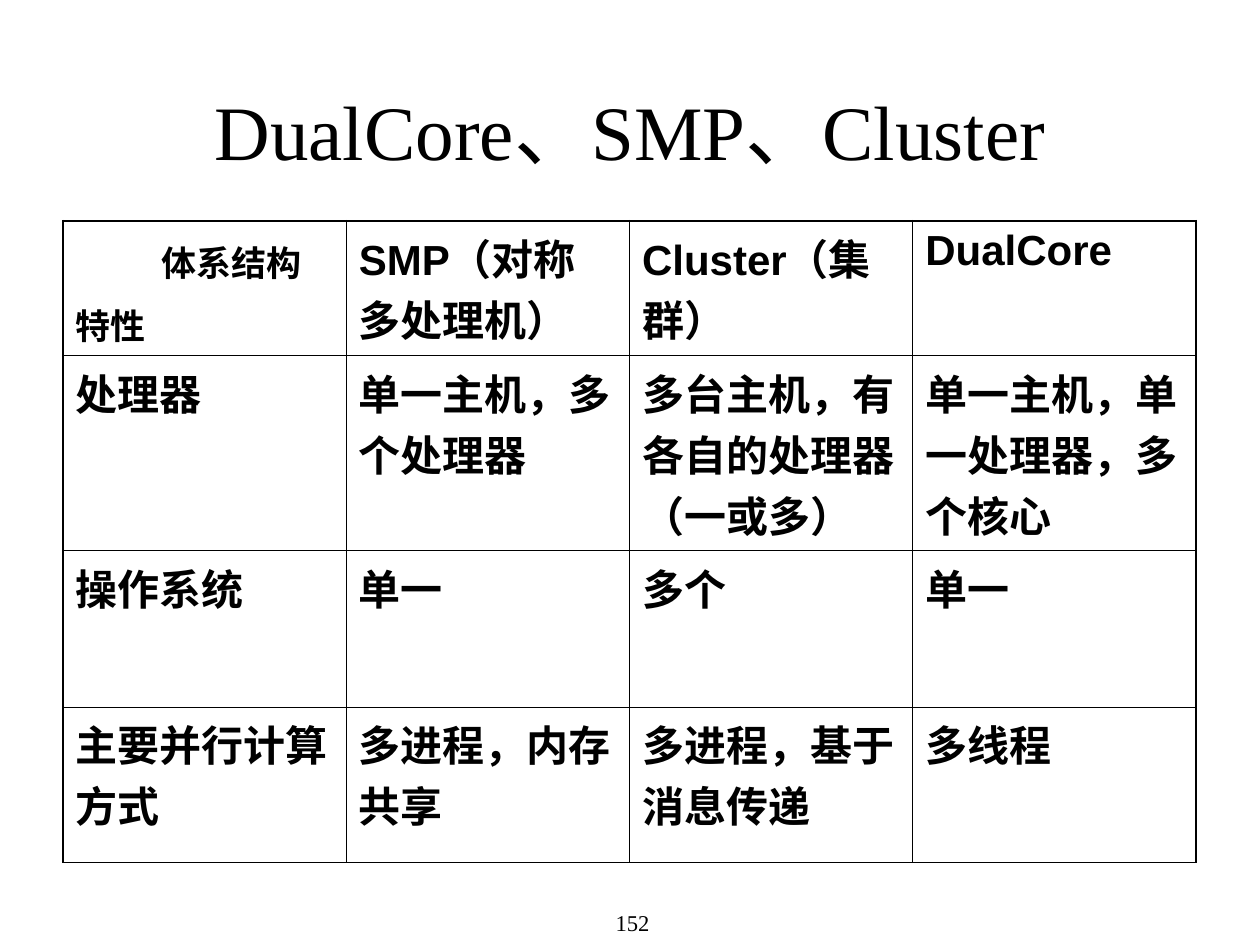
import pptx
import pptx.dml.color
import pptx.enum.text
import pptx.oxml.ns
import pptx.util
from lxml import etree
from pptx.util import Cm

BLACK = pptx.dml.color.RGBColor(0x00, 0x00, 0x00)
ALIGN = pptx.enum.text.PP_ALIGN
ANCHOR = pptx.enum.text.MSO_ANCHOR

OUTER_LINE = pptx.util.Pt(1.08)
INNER_LINE = pptx.util.Pt(0.45)
COLUMN_WIDTH = Cm(5.71)
ROW_HEIGHTS = [Cm(2.72), Cm(3.93), Cm(3.15), Cm(3.14)]

CORNER_LABELS = ["体系结构", "特性"]
ROWS = [
    ["", "SMP（对称多处理机）", "Cluster（集群）", "DualCore"],
    ["处理器", "单一主机，多个处理器", "多台主机，有各自的处理器（一或多）",
     "单一主机，单一处理器，多个核心"],
    ["操作系统", "单一", "多个", "单一"],
    ["主要并行计算方式", "多进程，内存共享", "多进程，基于消息传递", "多线程"],
]


def write_text(paragraph, text, size, font_name="Arial", bold=False,
               alignment=ALIGN.LEFT, space_before=None):
    paragraph.alignment = alignment
    if space_before is not None:
        paragraph.space_before = pptx.util.Pt(space_before)
    run = paragraph.add_run()
    run.text = text
    run.font.name = font_name
    run.font.size = pptx.util.Pt(size)
    run.font.bold = bold
    run.font.color.rgb = BLACK


def set_borders(cell, **widths):
    """Draw cell borders; keys are lnL, lnR, lnT and lnB, in that order."""
    properties = cell._tc.get_or_add_tcPr()
    for tag, width in widths.items():
        line = etree.SubElement(properties, pptx.oxml.ns.qn(f"a:{tag}"), w=str(width))
        fill = etree.SubElement(line, pptx.oxml.ns.qn("a:solidFill"))
        etree.SubElement(fill, pptx.oxml.ns.qn("a:srgbClr"), val=str(BLACK))


def add_title(slide, text):
    title = slide.shapes.title
    title.left, title.top = Cm(1.27), Cm(1.03)
    title.width, title.height = Cm(22.86), Cm(3.17)
    title.text_frame.vertical_anchor = ANCHOR.MIDDLE
    write_text(title.text_frame.paragraphs[0], text, 44,
               font_name="Times New Roman", alignment=ALIGN.CENTER)


def add_page_number(slide, text):
    box = slide.shapes.add_textbox(Cm(12.07), Cm(18.19), Cm(1.27), Cm(0.86))
    box.text_frame.word_wrap = True
    write_text(box.text_frame.paragraphs[0], text, 12.9,
               font_name="Times New Roman", alignment=ALIGN.RIGHT)


def fill_corner_cell(cell):
    """Label the column axis at the right and the row axis below it."""
    column_label, row_label = CORNER_LABELS
    cell.vertical_anchor = ANCHOR.BOTTOM
    first = cell.text_frame.paragraphs[0]
    first._p.get_or_add_pPr().set("indent", str(Cm(1.73)))
    write_text(first, column_label, 20, bold=True)
    write_text(cell.text_frame.add_paragraph(), row_label, 20, bold=True,
               space_before=7)


def add_comparison_table(slide):
    row_count, column_count = len(ROWS), len(ROWS[0])
    table = slide.shapes.add_table(
        row_count, column_count, Cm(1.27), Cm(4.45),
        COLUMN_WIDTH * column_count, sum(ROW_HEIGHTS)).table
    table.first_row = False
    table.horz_banding = False
    for column in table.columns:
        column.width = COLUMN_WIDTH
    for row_index, texts in enumerate(ROWS):
        table.rows[row_index].height = ROW_HEIGHTS[row_index]
        for column_index, text in enumerate(texts):
            cell = table.cell(row_index, column_index)
            set_borders(
                cell,
                lnL=OUTER_LINE if column_index == 0 else INNER_LINE,
                lnR=OUTER_LINE if column_index == column_count - 1 else INNER_LINE,
                lnT=OUTER_LINE if row_index == 0 else INNER_LINE,
                lnB=OUTER_LINE if row_index == row_count - 1 else INNER_LINE)
            cell.fill.background()
            if text:
                write_text(cell.text_frame.paragraphs[0], text, 24, bold=True)
    fill_corner_cell(table.cell(0, 0))


def main():
    presentation = pptx.Presentation()
    presentation.slide_width, presentation.slide_height = Cm(25.4), Cm(19.05)
    slide = presentation.slides.add_slide(presentation.slide_layouts[5])
    add_page_number(slide, "152")
    add_title(slide, "DualCore、SMP、Cluster")
    add_comparison_table(slide)
    presentation.save("out.pptx")


if __name__ == "__main__":
    main()
